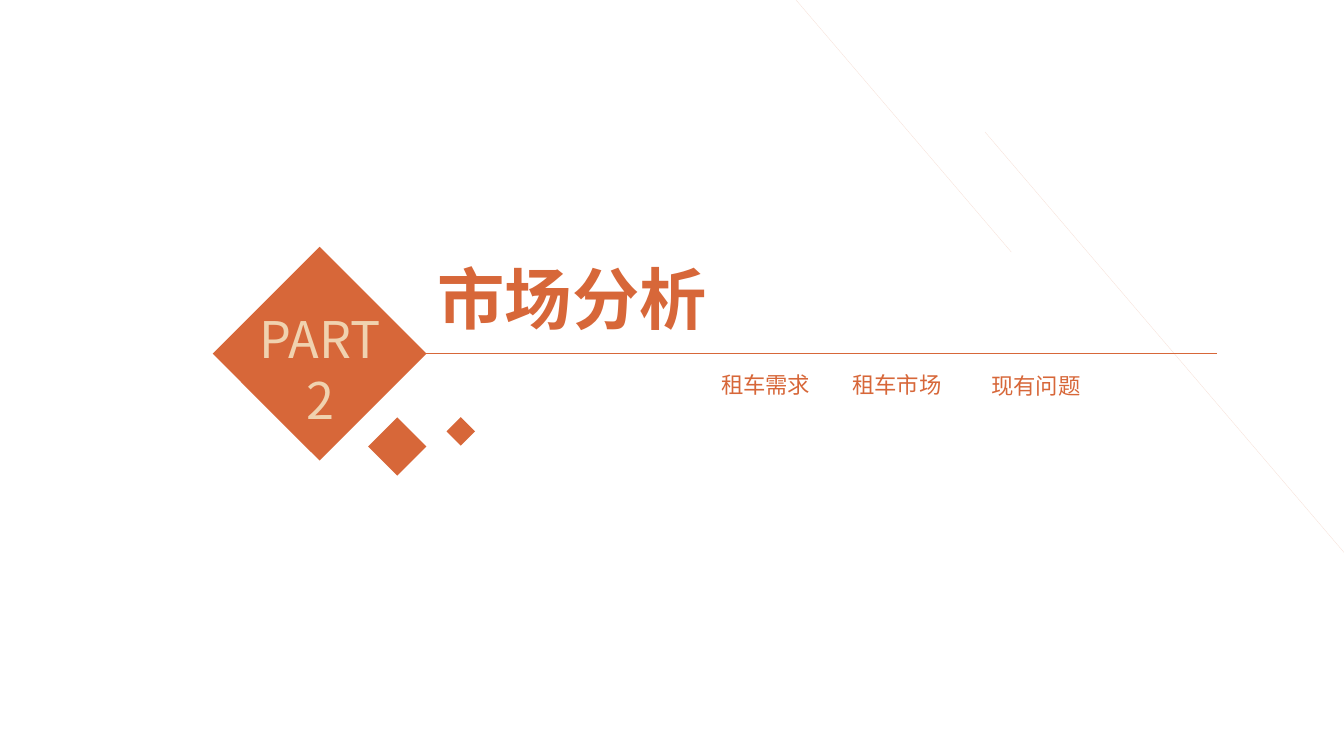
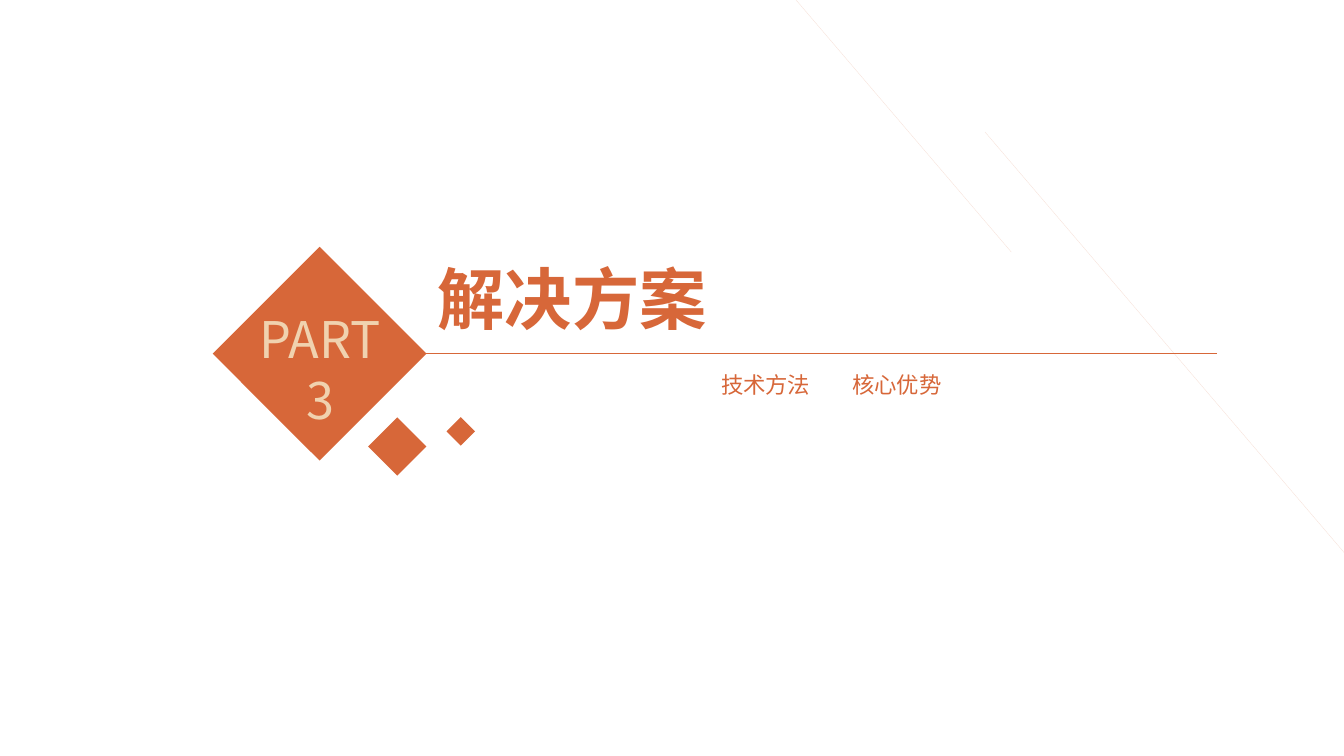
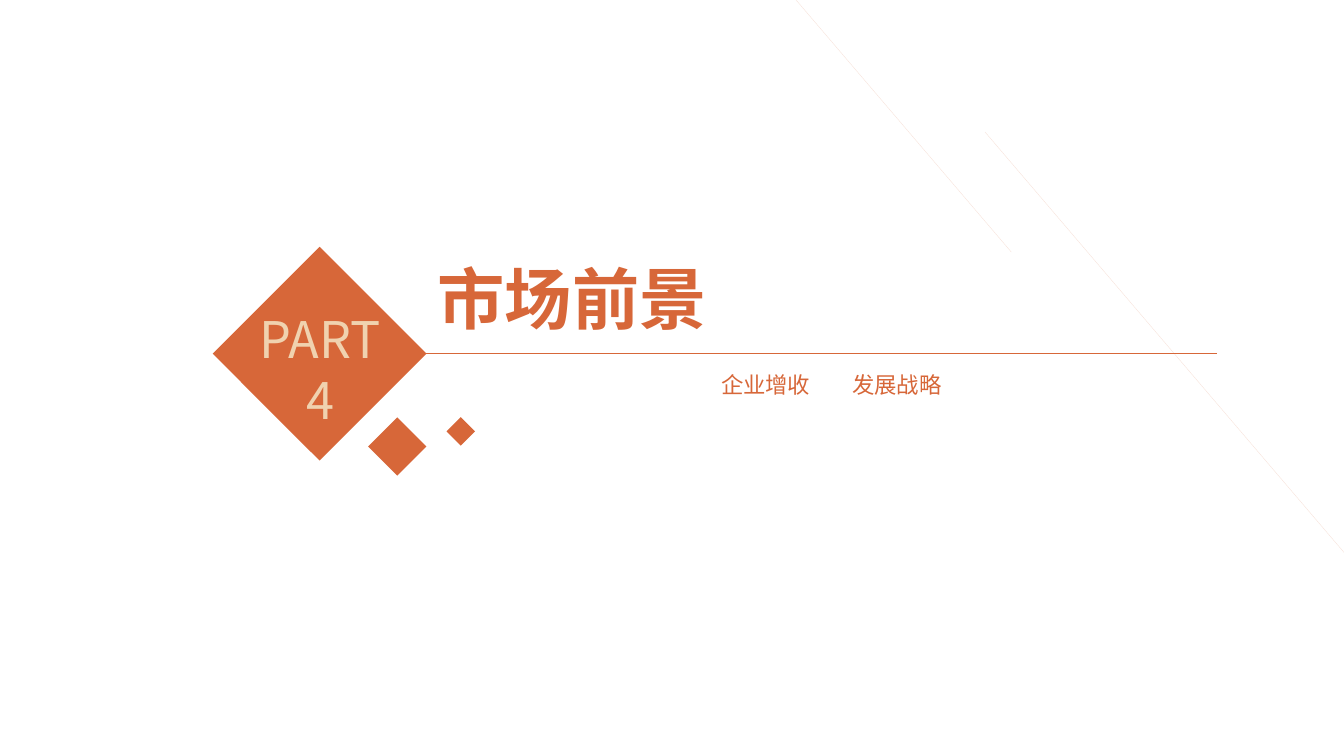
from dataclasses import dataclass
from lxml import etree
from pptx import Presentation
from pptx.dml.color import RGBColor as Rgb
from pptx.enum.shapes import MSO_CONNECTOR as Conn, MSO_SHAPE as Shape
from pptx.enum.text import MSO_AUTO_SIZE as Fit, PP_ALIGN as Align
from pptx.oxml.ns import qn
from pptx.util import Inches, Pt


@dataclass(frozen=True)
class Theme:
    font: str = "Noto Sans CJK SC"
    main: Rgb = Rgb(0xD7, 0x67, 0x39)
    sand: Rgb = Rgb(0xF0, 0xD2, 0xAF)
    white: Rgb = Rgb(0xFF, 0xFF, 0xFF)
    badge: int = 36
    title: int = 48
    topic: int = 16
    rule: float = 0.5
    hair: float = 0.2
    faint: int = 21


T = Theme()
WIDE, HIGH = 13.33, 7.5

CHAPTERS = [
    ("2", "市场分析", ["租车需求", "租车市场", "现有问题"]),
    ("3", "解决方案", ["技术方法", "核心优势"]),
    ("4", "市场前景", ["企业增收", "发展战略"]),
]


def add_text(slide, box, lines, size, color, bold=False):
    frame = slide.shapes.add_textbox(*map(Inches, box)).text_frame
    frame.word_wrap = True
    frame.auto_size = Fit.SHAPE_TO_FIT_TEXT
    look = {"name": T.font, "size": Pt(size), "bold": bold}
    for i, line in enumerate(lines):
        para = frame.add_paragraph() if i else frame.paragraphs[0]
        para.alignment = Align.CENTER
        run = para.add_run()
        run.text = line
        for key, value in look.items():
            setattr(run.font, key, value)
        run.font.color.rgb = color
        # East Asian typeface
        east = etree.SubElement(run.font._element, qn("a:ea"))
        east.set("typeface", T.font)


def add_line(slide, start, end, width, alpha=None):
    ends = map(Inches, (*start, *end))
    line = slide.shapes.add_connector(Conn.STRAIGHT, *ends)
    line.line.color.rgb = T.main
    line.line.width = Pt(width)
    props = line._element.spPr
    if alpha:
        tone = props.find(".//" + qn("a:srgbClr"))
        etree.SubElement(tone, qn("a:alpha")).set("val", str(alpha * 1000))
    etree.SubElement(props, qn("a:effectLst"))


def add_gem(slide, x, y, side):
    """Place a square turned on its corner, centred on x, y."""
    box = (x - side / 2, y - side / 2, side, side)
    gem = slide.shapes.add_shape(Shape.RECTANGLE, *map(Inches, box))
    gem.rotation = 45
    gem.shadow.inherit = False
    gem.fill.solid()
    gem.fill.fore_color.rgb = T.main
    gem.line.fill.background()


def add_badge(slide, x, y, number):
    """Place the large gem, its two small ones and the chapter number."""
    for dx, dy, side in [(0, 0, 1.5), (0.77, 0.92, 0.41), (1.4, 0.77, 0.2)]:
        add_gem(slide, x + dx, y + dy, side)
    box = (x - 1.07, y - 0.5, 2.15, 1.31)
    add_text(slide, box, ["PART", number], T.badge, T.sand)


def add_rays(slide):
    """Place the two parallel faint diagonals."""
    for x, y in [(9.77, 1.31), (5.42, -2.9)]:
        add_line(slide, (x, y), (x + 4.61, y + 5.4), T.hair, T.faint)


def add_head(slide, x, y, title, topics):
    """Place the rule from x, y, the title above and the topics below."""
    box = (x - 0.31, y - 1.01, 3.51, 0.91)
    add_text(slide, box, [title], T.title, T.main, True)
    add_line(slide, (x, y), (x + 7.84, y), T.rule)
    spots = [(2.63, 0.12), (3.93, 0.12), (5.31, 0.13)]
    for (dx, dy), topic in zip(spots, topics):
        box = (x + dx, y + dy, 1.47, 0.37)
        add_text(slide, box, [topic], T.topic, T.main)


def add_chapter(deck, number, title, topics):
    slide = deck.slides.add_slide(deck.slide_layouts[6])
    fill = slide.background.fill
    fill.solid()
    fill.fore_color.rgb = T.white
    add_badge(slide, 3.17, 3.51, number)
    add_rays(slide)
    add_head(slide, 4.23, 3.51, title, topics)


def main():
    deck = Presentation()
    deck.slide_width, deck.slide_height = Inches(WIDE), Inches(HIGH)
    for chapter in CHAPTERS:
        add_chapter(deck, *chapter)
    deck.save("out.pptx")


if __name__ == "__main__":
    main()
